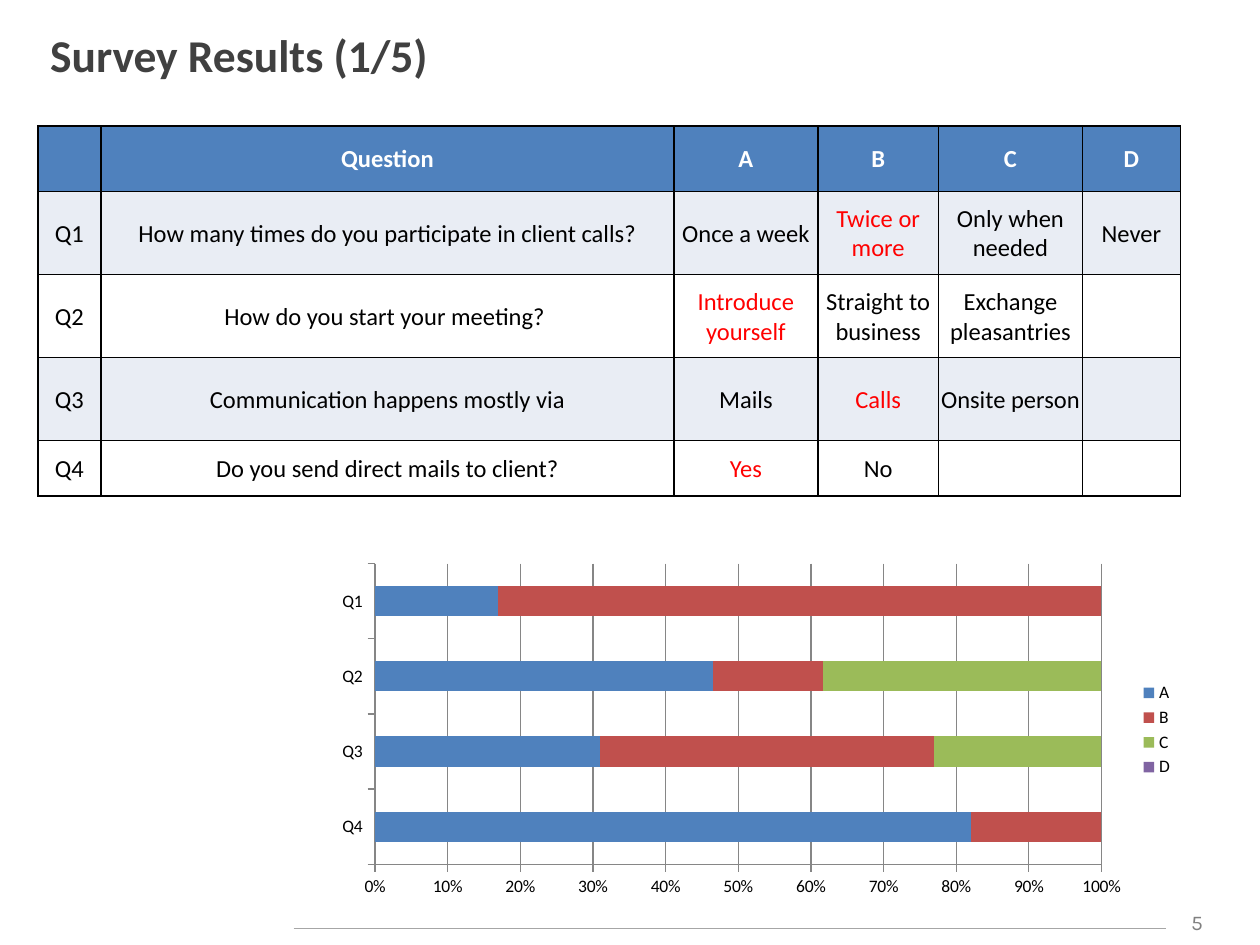
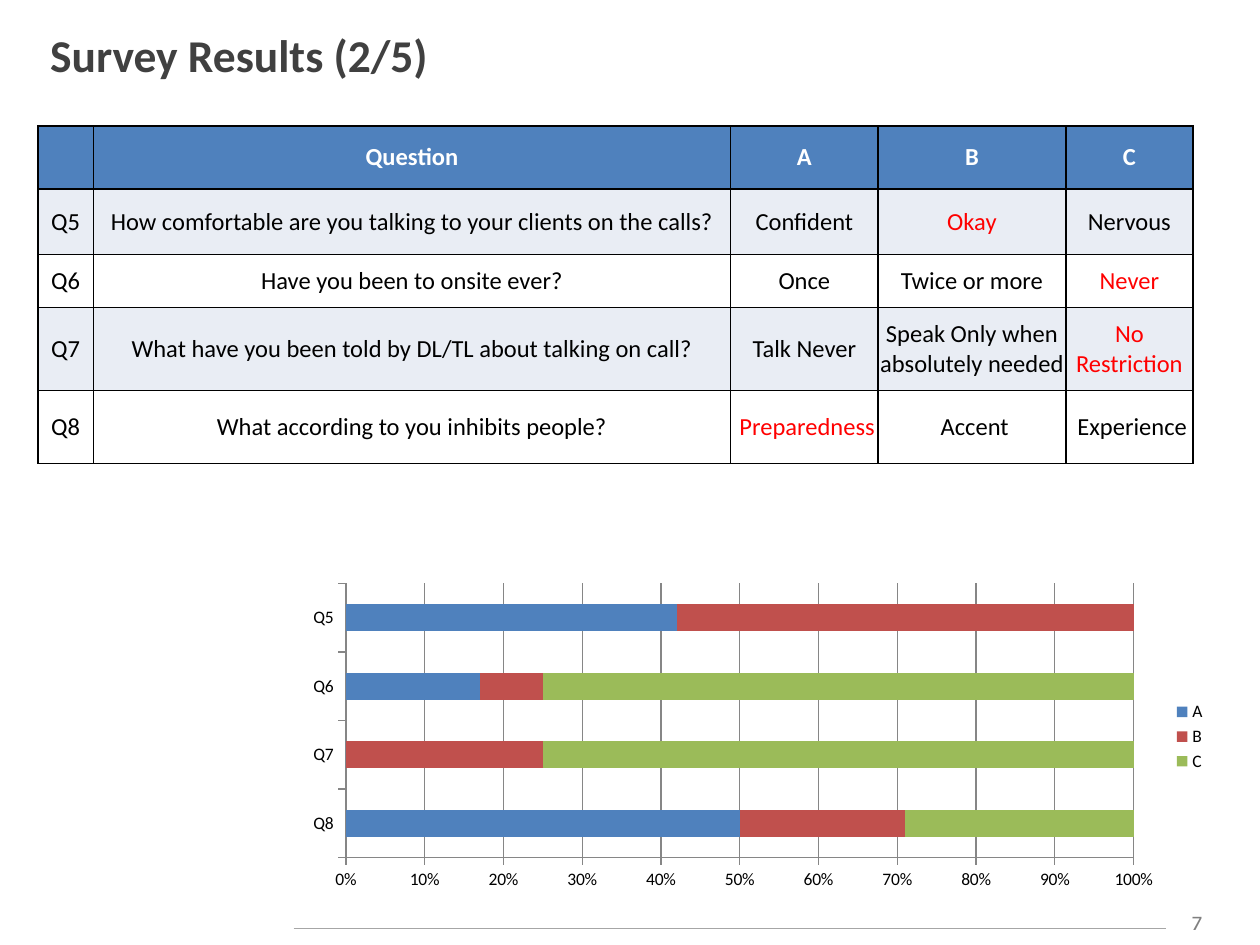
from lxml.etree import SubElement
from pptx import Presentation
from pptx.chart.data import CategoryChartData
from pptx.dml.color import RGBColor
from pptx.enum.chart import XL_CHART_TYPE, XL_LEGEND_POSITION, XL_TICK_MARK
from pptx.enum.shapes import MSO_CONNECTOR
from pptx.enum.text import MSO_ANCHOR, PP_ALIGN
from pptx.oxml import parse_xml
from pptx.oxml.ns import nsdecls, qn
from pptx.util import Pt

BLACK = RGBColor(0x00, 0x00, 0x00)
WHITE = RGBColor(0xFF, 0xFF, 0xFF)
RED = RGBColor(0xFF, 0x00, 0x00)
DARK = RGBColor(0x40, 0x40, 0x40)
GRAY = RGBColor(0x80, 0x80, 0x80)
RULE = RGBColor(0xA6, 0xA6, 0xA6)
GRID = RGBColor(0x86, 0x86, 0x86)
BLUE = RGBColor(0x4F, 0x81, 0xBD)
BAND = RGBColor(0xE9, 0xED, 0xF4)
SERIES_COLORS = [BLUE, RGBColor(0xC0, 0x50, 0x4D),
                 RGBColor(0x9B, 0xBB, 0x59), RGBColor(0x80, 0x64, 0xA2)]

TITLE = {"name": "Calibri", "size": Pt(26), "bold": True}
HEADER = {"name": "Calibri", "size": Pt(14), "bold": True}
BODY = {"name": "Calibri", "size": Pt(14), "bold": False}
NUMBER = {"name": "Karla", "size": Pt(12), "bold": False}
HEADER_CELL = {"margin_left": Pt(7.2), "margin_right": Pt(7.2),
               "margin_top": Pt(7.2), "margin_bottom": Pt(7.2)}
BODY_CELL = {"margin_left": Pt(0.72), "margin_right": Pt(0.72),
             "margin_top": Pt(0.72), "margin_bottom": Pt(0)}

SLIDES = [
    {
        "title": "Survey Results (1/5)", "number": "5",
        "widths": [36, 327.6, 82.1, 69.1, 82.1, 56.2],
        "heights": [37.4, 47.5, 47.5, 47.5, 31.7],
        "letters": "ABCD",
        "rows": [
            ("Q1", "How many times do you participate in client calls?", "B",
             ["Once a week", "Twice or more", "Only when needed", "Never"]),
            ("Q2", "How do you start your meeting? ", "A",
             ["Introduce yourself", "Straight to business",
              "Exchange pleasantries", ""]),
            ("Q3", "Communication happens mostly via", "B",
             ["Mails", "Calls", "Onsite person", ""]),
            ("Q4", "Do you send direct mails to client?", "A",
             ["Yes", "No", "", ""]),
        ],
        "chart": (185.8, 318.2, 491.8, 198),
        "shares": [(17, 83, 0, 0), (46, 15, 38, 0),
                   (31, 46, 23, 0), (82, 18, 0, 0)],
    },
    {
        "title": "Survey Results (2/5)", "number": "7",
        "widths": [31.7, 364.3, 84.2, 107.3, 72.7],
        "heights": [34.6, 37.4, 30.2, 47.5, 41.8],
        "letters": "ABC",
        "rows": [
            ("Q5", "How comfortable are you talking to your clients on the calls?",
             "B", ["Confident", "Okay", "Nervous"]),
            ("Q6", "Have you been to onsite ever?", "C",
             ["Once", "Twice or more", "Never"]),
            ("Q7", "What have you been told by DL/TL about talking on call?",
             "C", ["Talk Never", "Speak Only when absolutely needed",
                   "No Restriction"]),
            ("Q8", "What according to you inhibits people?", "A",
             [" Preparedness", " Accent", " Experience"]),
        ],
        "chart": (168.5, 329.8, 527.8, 182.2),
        "shares": [(42, 58, 0), (17, 8, 75), (0, 25, 75), (50, 21, 29)],
    },
]


def write(tf, text, fmt, color, align=PP_ALIGN.CENTER):
    tf.word_wrap = True
    p = tf.paragraphs[0]
    p.alignment = align
    r = p.add_run()
    r.text = text
    for key, value in fmt.items():
        setattr(r.font, key, value)
    r.font.color.rgb = color
    return p


def style_cell(cell, margins, fill):
    for key, value in margins.items():
        setattr(cell, key, value)
    cell.vertical_anchor = MSO_ANCHOR.MIDDLE
    cell.fill.solid()
    cell.fill.fore_color.rgb = fill
    tcPr = cell._tc.get_or_add_tcPr()
    for i, side in enumerate(("lnL", "lnR", "lnT", "lnB")):
        tcPr.insert(i, parse_xml(
            f'<a:{side} {nsdecls("a")} w="12700"><a:solidFill>'
            f'<a:srgbClr val="{BLACK}"/></a:solidFill></a:{side}>'))


prs = Presentation()
prs.slide_width, prs.slide_height = Pt(720), Pt(540)

for page in SLIDES:
    s = prs.slides.add_slide(prs.slide_layouts[6])

    sp = s.shapes.add_textbox(Pt(666), Pt(516.2), Pt(36), Pt(21.6))
    write(sp.text_frame, page["number"], NUMBER, GRAY)

    line = s.shapes.add_connector(MSO_CONNECTOR.STRAIGHT,
                                  Pt(167.8), Pt(530.6), Pt(666), Pt(530.6))
    line.line.color.rgb = RULE
    line.line.width = Pt(0.75)
    SubElement(line._element.spPr, qn("a:effectLst"))

    sp = s.shapes.add_textbox(Pt(21.6), Pt(8.6), Pt(673.9), Pt(45.4))
    sp.text_frame.vertical_anchor = MSO_ANCHOR.MIDDLE
    write(sp.text_frame, page["title"], TITLE, DARK, PP_ALIGN.LEFT)

    widths, heights, letters = page["widths"], page["heights"], page["letters"]
    table = s.shapes.add_table(len(heights), len(widths), Pt(21.6), Pt(72),
                               Pt(sum(widths)), Pt(sum(heights))).table
    table.first_row = table.horz_banding = False
    for col, width in zip(table.columns, widths):
        col.width = Pt(width)
    for row, height in zip(table.rows, heights):
        row.height = Pt(height)

    for c, text in enumerate(["", "Question", *letters]):
        cell = table.cell(0, c)
        style_cell(cell, HEADER_CELL, BLUE)
        if text:
            p = write(cell.text_frame, text, HEADER, WHITE)
            p.space_before = Pt(2.8)

    for i, (label, question, top_answer, answers) in enumerate(page["rows"], 1):
        top_col = letters.index(top_answer) + 2
        for c, text in enumerate([label, question, *answers]):
            cell = table.cell(i, c)
            style_cell(cell, BODY_CELL, BAND if i % 2 else WHITE)
            if text:
                write(cell.text_frame, text, BODY, RED if c == top_col else BLACK)

    data = CategoryChartData()
    data.categories = [row[0] for row in reversed(page["rows"])]
    for letter, values in zip(letters, zip(*reversed(page["shares"]))):
        data.add_series(letter, values)
    chart = s.shapes.add_chart(XL_CHART_TYPE.BAR_STACKED_100,
                               *map(Pt, page["chart"]), data).chart
    chart.has_title = False
    chart.font.name, chart.font.size = "Calibri", Pt(10)
    chart.font.color.rgb = BLACK
    chart.has_legend = True
    chart.legend.position = XL_LEGEND_POSITION.RIGHT
    chart.legend.include_in_layout = False

    plot = chart.plots[0]
    plot.gap_width, plot.overlap, plot.vary_by_categories = 150, 100, False
    for series, color in zip(plot.series, SERIES_COLORS):
        series.format.fill.solid()
        series.format.fill.fore_color.rgb = color

    for axis in (chart.category_axis, chart.value_axis):
        axis.major_tick_mark = XL_TICK_MARK.OUTSIDE
        axis.minor_tick_mark = XL_TICK_MARK.NONE
        axis.format.line.color.rgb = GRID
        axis.format.line.width = Pt(0.75)
    axis = chart.value_axis
    axis.has_major_gridlines = True
    axis.major_gridlines.format.line.color.rgb = GRID
    axis.major_gridlines.format.line.width = Pt(0.75)
    axis.tick_labels.number_format = "0%"
    axis.tick_labels.number_format_is_linked = False

prs.save("out.pptx")
